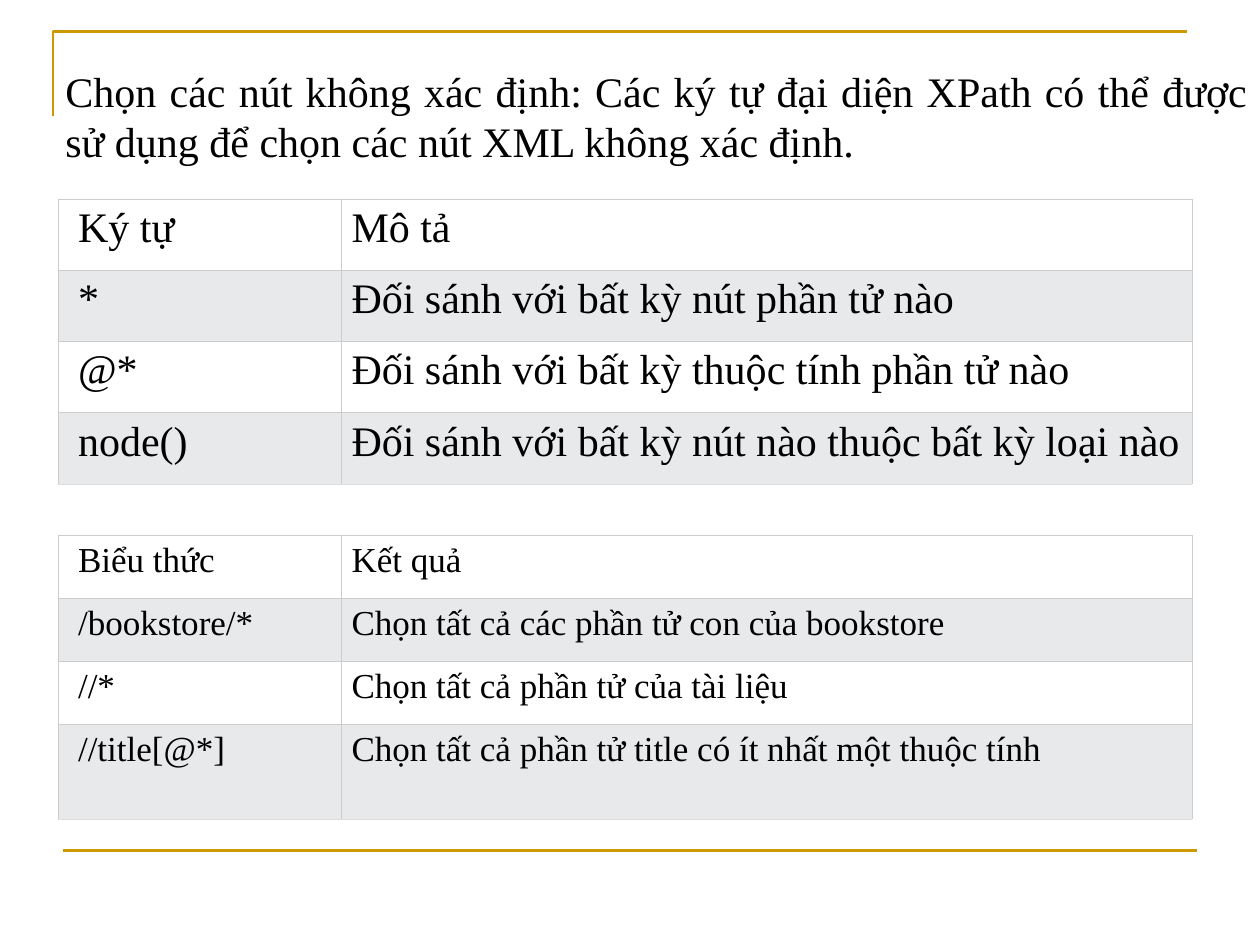
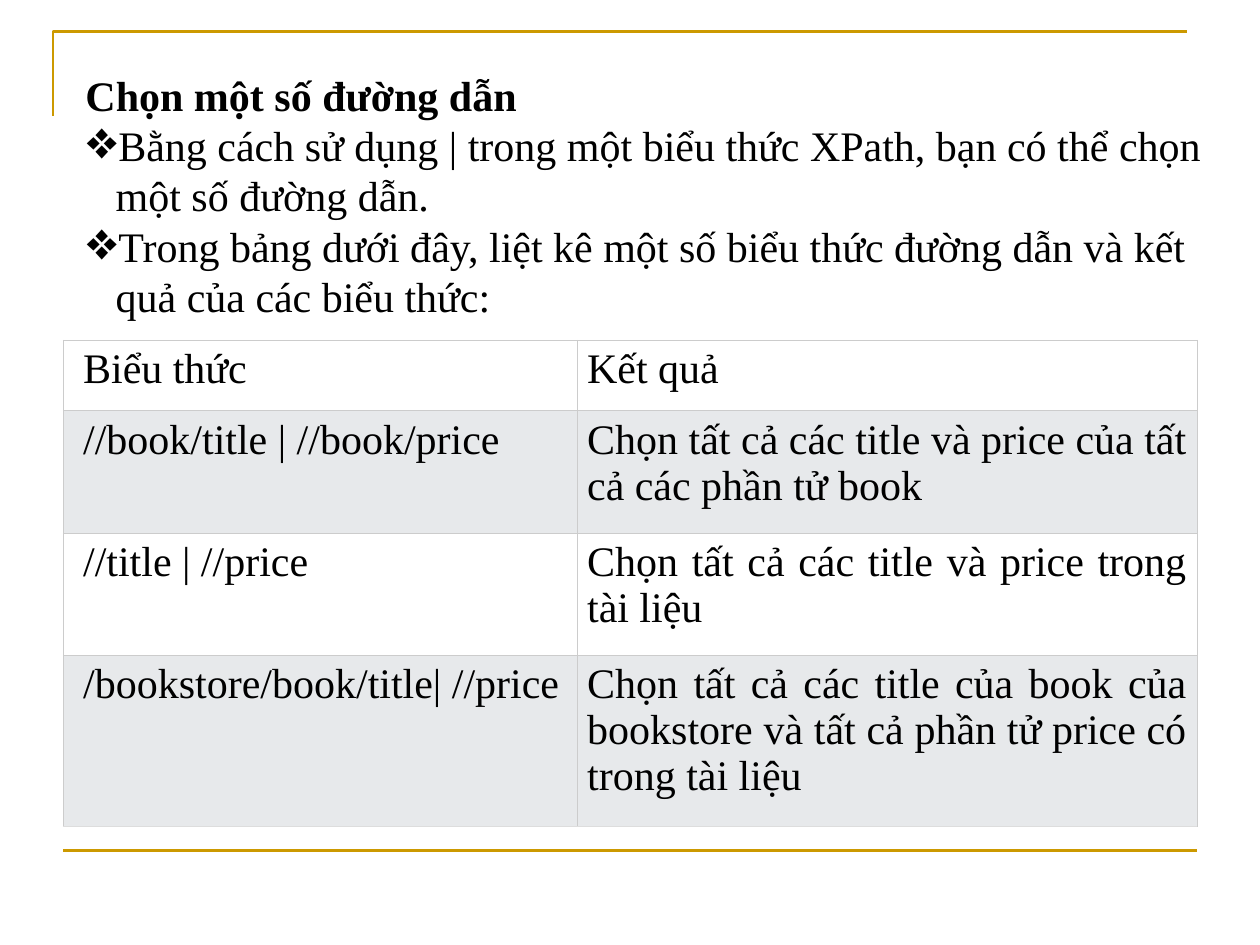
from dataclasses import dataclass
from typing import Sequence

from lxml.etree import SubElement
from pptx import Presentation
from pptx.dml.color import RGBColor
from pptx.enum.shapes import MSO_CONNECTOR
from pptx.enum.text import PP_ALIGN
from pptx.oxml import parse_xml
from pptx.oxml.ns import nsdecls, qn
from pptx.slide import Slide
from pptx.table import _Cell
from pptx.text.text import _Paragraph
from pptx.util import Inches, Pt


@dataclass(frozen=True)
class Theme:
    font: str = "Times New Roman"
    text: str = "000000"
    accent: str = "CC9900"
    paper: str = "FFFFFF"
    band: str = "E7E9EB"
    grid: str = "CCCCCC"
    grid_end: str = "DDDDDD"
    large: int = 24
    small: int = 20
    frame_width: float = 1.5
    grid_width: float = 0.34
    body_leading: float = 1.2
    table_leading: float = 1.1


THEME = Theme()


@dataclass(frozen=True)
class TextLine:
    text: str
    bold: bool = False
    bullet: str = ""
    align: PP_ALIGN = PP_ALIGN.LEFT


@dataclass(frozen=True)
class TextBlock:
    left: float
    top: float
    width: float
    height: float
    lines: Sequence[TextLine]


@dataclass(frozen=True)
class TableBlock:
    left: float
    top: float
    columns: Sequence[float]
    heights: Sequence[float]
    rows: Sequence[Sequence[str]]
    size: int = THEME.large
    align: PP_ALIGN = PP_ALIGN.LEFT


@dataclass(frozen=True)
class Page:
    intro: TextBlock
    tables: Sequence[TableBlock]


PAGES = (
    Page(
        TextBlock(0.42, 0.47, 9.58, 0.9, (
            TextLine("Chọn các nút không xác định: Các ký tự đại diện XPath có thể "
                     "được sử dụng để chọn các nút XML không xác định.",
                     align=PP_ALIGN.JUSTIFY),
        )),
        (
            TableBlock(0.46, 1.58, (2.25, 6.75), (0.565,) * 4, (
                ("Ký tự", "Mô tả"),
                ("*", "Đối sánh với bất kỳ nút phần tử nào"),
                ("@*", "Đối sánh với bất kỳ thuộc tính phần tử nào"),
                ("node()", "Đối sánh với bất kỳ nút nào thuộc bất kỳ loại nào"),
            )),
            TableBlock(0.46, 4.25, (2.25, 6.75), (0.5, 0.5, 0.5, 0.75), (
                ("Biểu thức", "Kết quả"),
                ("/bookstore/*", "Chọn tất cả các phần tử con của bookstore"),
                ("//*", "Chọn tất cả phần tử của tài liệu"),
                ("//title[@*]", "Chọn tất cả phần tử title có ít nhất một thuộc tính"),
            ), size=THEME.small),
        ),
    ),
    Page(
        TextBlock(0.58, 0.5, 9.33, 2.1, (
            TextLine("Chọn một số đường dẫn", bold=True),
            TextLine("Bằng cách sử dụng | trong một biểu thức XPath, bạn có thể chọn "
                     "một số đường dẫn.", bullet="❖"),
            TextLine("Trong bảng dưới đây, liệt kê một số biểu thức đường dẫn và kết "
                     "quả của các biểu thức:", bullet="❖"),
        )),
        (
            TableBlock(0.5, 2.7, (4.08, 4.92), (0.56, 0.97, 0.97, 1.36), (
                ("Biểu thức", "Kết quả"),
                ("//book/title | //book/price",
                 "Chọn tất cả các title và price của tất cả các phần tử book"),
                ("//title | //price",
                 "Chọn tất cả các title và price trong tài liệu"),
                ("/bookstore/book/title| //price",
                 "Chọn tất cả các title của book của bookstore và tất cả phần tử "
                 "price có trong tài liệu"),
            ), align=PP_ALIGN.JUSTIFY),
        ),
    ),
)


def color(value: str) -> RGBColor:
    return RGBColor.from_string(value)


def write(para: _Paragraph, text: str, *, size: int = THEME.large, bold: bool = False,
          align: PP_ALIGN = PP_ALIGN.LEFT, leading: float = THEME.body_leading) -> None:
    para.alignment = align
    para.line_spacing = Pt(size * leading)
    span = para.add_run()
    span.text = text
    span.font.name = THEME.font
    span.font.size = Pt(size)
    span.font.bold = bold
    span.font.color.rgb = color(THEME.text)


def add_bullet(para: _Paragraph, symbol: str) -> None:
    properties = para._p.get_or_add_pPr()
    indent = Inches(0.24)
    properties.set("marL", str(indent))
    properties.set("indent", str(-indent))
    bullet_color = SubElement(properties, qn("a:buClr"))
    SubElement(bullet_color, qn("a:srgbClr"), val=THEME.text)
    SubElement(properties, qn("a:buFont"), typeface=THEME.font)
    SubElement(properties, qn("a:buChar"), char=symbol)


def add_frame(slide: Slide) -> None:
    """Draw the corner line at the top and the rule at the bottom."""
    builder = slide.shapes.build_freeform(Inches(0.42), Inches(0.92))
    builder.add_line_segments(
        [(Inches(0.42), Inches(0.25)), (Inches(9.42), Inches(0.25))], close=False)
    corner = builder.convert_to_shape()
    corner.shadow.inherit = False
    corner.fill.background()
    rule = slide.shapes.add_connector(
        MSO_CONNECTOR.STRAIGHT, Inches(0.5), Inches(6.75), Inches(9.5), Inches(6.75))
    SubElement(rule._element.spPr, qn("a:effectLst"))
    for shape in (corner, rule):
        shape.line.color.rgb = color(THEME.accent)
        shape.line.width = Pt(THEME.frame_width)


def add_text(slide: Slide, block: TextBlock) -> None:
    box = slide.shapes.add_textbox(Inches(block.left), Inches(block.top),
                                   Inches(block.width), Inches(block.height))
    frame = box.text_frame
    frame.word_wrap = True
    for index, line in enumerate(block.lines):
        para = frame.add_paragraph() if index else frame.paragraphs[0]
        write(para, line.text, bold=line.bold, align=line.align)
        if line.bullet:
            add_bullet(para, line.bullet)


def set_borders(cell: _Cell, bottom: str) -> None:
    properties = cell._tc.get_or_add_tcPr()
    sides = {"lnL": THEME.grid, "lnR": THEME.grid, "lnT": THEME.grid, "lnB": bottom}
    for index, (side, value) in enumerate(sides.items()):
        properties.insert(index, parse_xml(
            f'<a:{side} {nsdecls("a")} w="{Pt(THEME.grid_width)}"><a:solidFill>'
            f'<a:srgbClr val="{value}"/></a:solidFill></a:{side}>'))


def add_table(slide: Slide, block: TableBlock) -> None:
    table = slide.shapes.add_table(
        len(block.rows), len(block.columns), Inches(block.left), Inches(block.top),
        Inches(sum(block.columns)), Inches(sum(block.heights))).table
    table.first_row = table.horz_banding = False
    for column, width in zip(table.columns, block.columns):
        column.width = Inches(width)
    for row_index, (texts, height) in enumerate(zip(block.rows, block.heights)):
        table.rows[row_index].height = Inches(height)
        last = row_index == len(block.rows) - 1
        for column_index, text in enumerate(texts):
            cell = table.cell(row_index, column_index)
            cell.margin_left = Inches(0.08 if column_index else 0.16)
            cell.margin_right = Inches(0.08)
            cell.fill.solid()
            cell.fill.fore_color.rgb = color(THEME.band if row_index % 2 else THEME.paper)
            set_borders(cell, THEME.grid_end if last else THEME.grid)
            write(cell.text_frame.paragraphs[0], text, size=block.size,
                  align=block.align, leading=THEME.table_leading)


def main() -> None:
    deck = Presentation()
    deck.slide_width, deck.slide_height = Inches(10), Inches(7.5)
    for page in PAGES:
        slide = deck.slides.add_slide(deck.slide_layouts[6])
        add_frame(slide)
        add_text(slide, page.intro)
        for block in page.tables:
            add_table(slide, block)
    deck.save("out.pptx")


if __name__ == "__main__":
    main()
